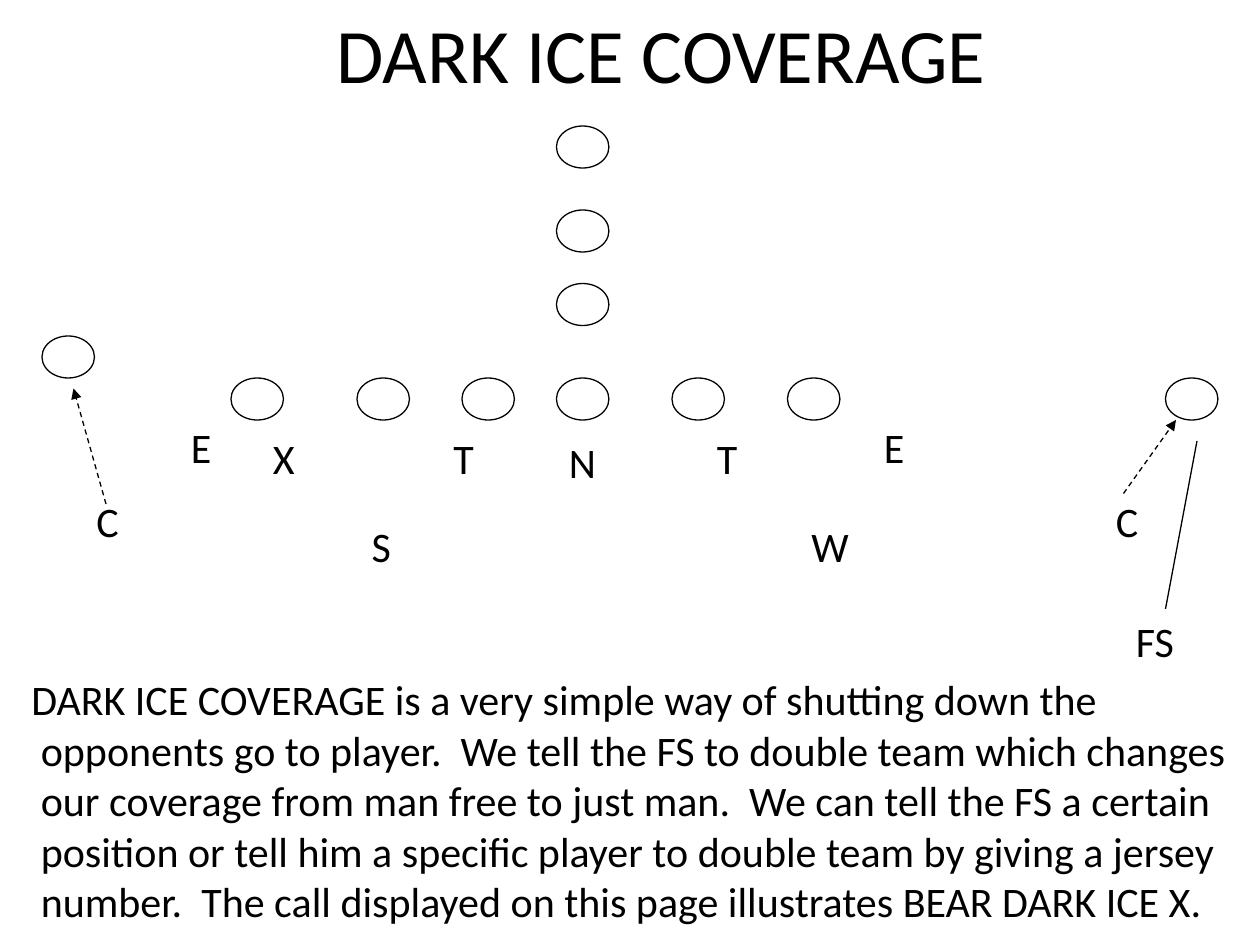
from dataclasses import dataclass

from lxml import etree
from pptx import Presentation
from pptx.dml.color import RGBColor
from pptx.enum.dml import MSO_LINE
from pptx.enum.shapes import MSO_CONNECTOR, MSO_SHAPE
from pptx.enum.text import MSO_ANCHOR, MSO_AUTO_SIZE, PP_ALIGN
from pptx.oxml.ns import qn
from pptx.util import Emu, Pt

PX = 914400 // 120  # 120 px to the inch
OVAL, STRAIGHT = MSO_SHAPE.OVAL, MSO_CONNECTOR.STRAIGHT
DASH = MSO_LINE.DASH
LEFT, CENTER = PP_ALIGN.LEFT, PP_ALIGN.CENTER
GROW, FIXED = MSO_AUTO_SIZE.SHAPE_TO_FIT_TEXT, MSO_AUTO_SIZE.NONE

COLORS = {"ink": "000000", "paper": "FFFFFF"}
FONT = "Calibri"
LINE_WIDTH = Pt(0.75)
PLAYER_WIDTH, PLAYER_HEIGHT = 50, 40
LABEL_HEIGHT = 60
BODY_INDENT = 9


@dataclass
class Player:
    left: int
    top: int


@dataclass
class Label:
    text: str
    left: int
    top: int
    width: int
    wrap: bool = False


@dataclass
class Route:
    start: tuple[int, int]
    end: tuple[int, int]
    man_coverage: bool = True


LINE_Y = 360
CENTER_X = 530
OFFENSE = (
    [Player(x, LINE_Y) for x in (220, 340, 440, CENTER_X, 640, 750, 1110)]
    + [Player(CENTER_X, y) for y in (270, 200, 120)]
    + [Player(40, 320)]
)

DEFENSE = [
    Label("E", 170, 396, 43), Label("X", 248, 406, 44),
    Label("T", 420, 406, 43), Label("N", 530, 410, 64, wrap=True),
    Label("T", 671, 406, 43), Label("E", 830, 396, 43),
    Label("C", 80, 466, 46), Label("C", 1051, 466, 46),
    Label("S", 342, 490, 42), Label("W", 761, 490, 59),
    Label("FS", 1070, 580, 68, wrap=True),
]

ROUTES = [
    Route((101, 480), (70, 370)),
    Route((1070, 470), (1120, 400)),
    Route((1110, 580), (1140, 420), man_coverage=False),
]

TITLE = "DARK ICE COVERAGE"
BODY = [
    "DARK ICE COVERAGE is a very simple way of shutting down the",
    "opponents go to player.  We tell the FS to double team which changes",
    "our coverage from man free to just man.  We can tell the FS a certain",
    "position or tell him a specific player to double team by giving a jersey",
    "number.  The call displayed on this page illustrates BEAR DARK ICE X.",
]


def px(value: int) -> Emu:
    return Emu(value * PX)


def color(name: str) -> RGBColor:
    return RGBColor.from_string(COLORS[name])


def draw_player(page, player: Player) -> None:
    oval = page.shapes.add_shape(OVAL, px(player.left), px(player.top),
                                 px(PLAYER_WIDTH), px(PLAYER_HEIGHT))
    oval.shadow.inherit = False
    oval.fill.solid()
    oval.fill.fore_color.rgb = color("paper")
    oval.line.color.rgb = color("ink")
    oval.line.width = LINE_WIDTH


def draw_route(page, route: Route) -> None:
    points = [px(value) for value in (*route.start, *route.end)]
    connector = page.shapes.add_connector(STRAIGHT, *points)
    connector.line.color.rgb = color("ink")
    connector.line.width = LINE_WIDTH
    if route.man_coverage:
        connector.line.dash_style = DASH
        outline = connector.line._get_or_add_ln()
        etree.SubElement(outline, qn("a:tailEnd"), type="triangle")
    etree.SubElement(connector._element.spPr, qn("a:effectLst"))


def draw_text(page, lines: list[str], left: int, top: int, width: int, height: int,
              size: int = 24, align=LEFT, wrap: bool = False, fit=GROW):
    box = page.shapes.add_textbox(px(left), px(top), px(width), px(height))
    frame = box.text_frame
    frame_format = {"word_wrap": wrap, "auto_size": fit,
                    "vertical_anchor": MSO_ANCHOR.TOP}
    for name, value in frame_format.items():
        setattr(frame, name, value)
    font_format = {"name": FONT, "size": Pt(size)}
    for index, line in enumerate(lines):
        para = frame.add_paragraph() if index else frame.paragraphs[0]
        para.alignment = align
        span = para.add_run()
        span.text = line
        for name, value in font_format.items():
            setattr(span.font, name, value)
        span.font.color.rgb = color("ink")
    return box


def main() -> None:
    deck = Presentation()
    deck.slide_width, deck.slide_height = px(1200), px(900)
    page = deck.slides.add_slide(deck.slide_layouts[6])

    # Formation
    for player in OFFENSE:
        draw_player(page, player)
    for label in DEFENSE:
        draw_text(page, [label.text], label.left, label.top, label.width,
                  LABEL_HEIGHT, wrap=label.wrap)
    for route in ROUTES:
        draw_route(page, route)

    # Title
    draw_text(page, [TITLE], 120, 0, 1020, 140, size=44, align=CENTER,
              wrap=True, fit=FIXED)

    # Explanation, with every line after the first slightly indented
    body = draw_text(page, BODY, 18, 636, 1189, 252)
    for para in body.text_frame.paragraphs[1:]:
        para._p.get_or_add_pPr().set("marL", str(px(BODY_INDENT)))

    deck.save("out.pptx")


if __name__ == "__main__":
    main()
